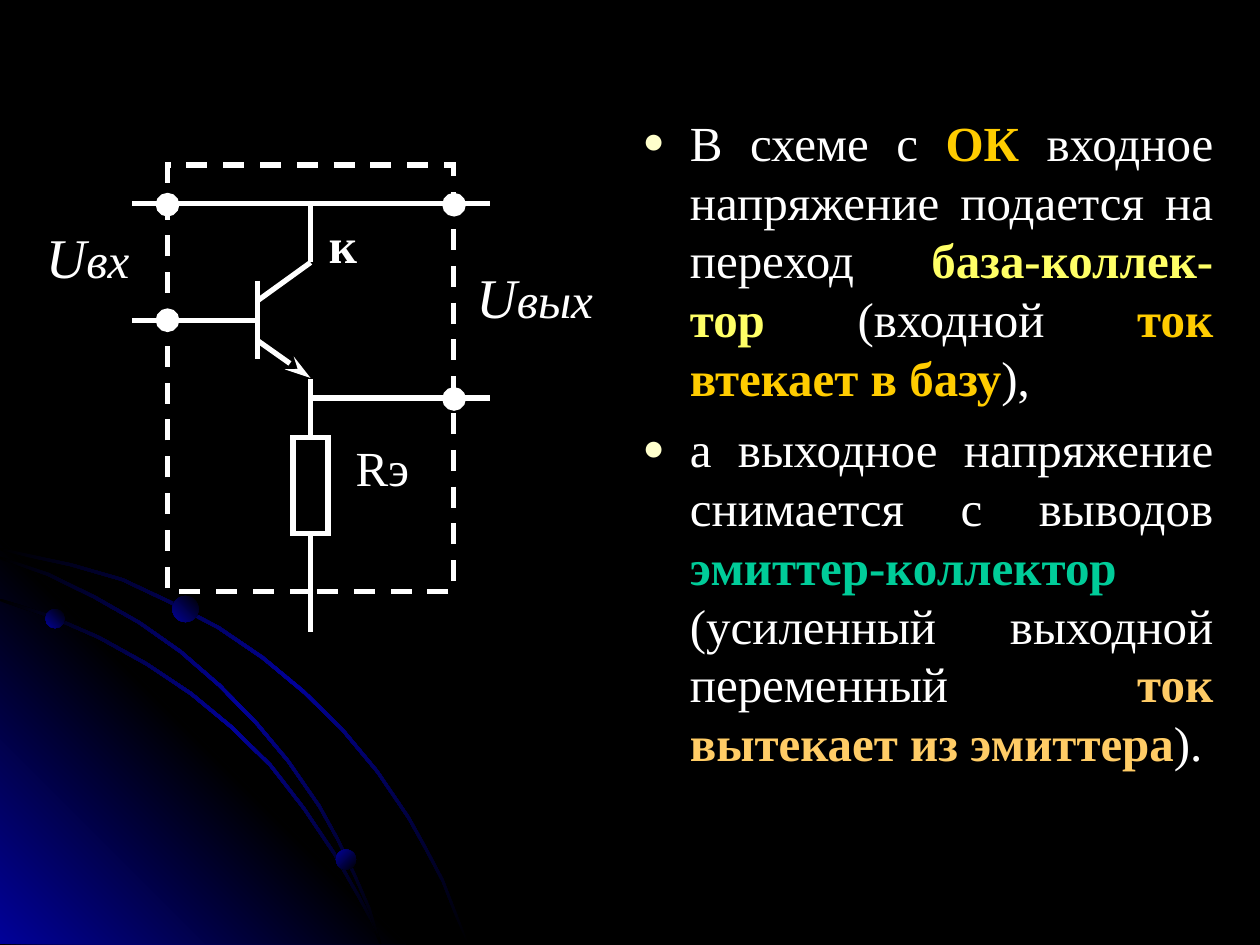
from lxml.etree import SubElement
from pptx import Presentation
from pptx.dml.color import RGBColor
from pptx.enum.dml import MSO_LINE
from pptx.enum.shapes import MSO_CONNECTOR, MSO_SHAPE
from pptx.enum.text import MSO_ANCHOR, MSO_AUTO_SIZE, PP_ALIGN
from pptx.oxml.ns import qn
from pptx.util import Pt

FONT = "Times New Roman"
WHITE, BLACK, BLUE = "FFFFFF", "000000", "010199"
GOLD, YELLOW, GREEN, ORANGE = "FFCC00", "FFFF66", "00CC99", "FFCC66"
LINE_WIDTH = 3
BOTTOM = 539.5

# Bullets: (text, colour); everything that is not white is bold
BULLETS = [
    [("В схеме с ", WHITE), ("ОК", GOLD),
     (" входное напряжение подается на переход ", WHITE),
     ("база-коллек-тор", YELLOW), (" (входной ", WHITE),
     ("ток втекает в базу", GOLD), ("), ", WHITE)],
    [("а выходное напряжение снимается с выводов ", WHITE),
     ("эмиттер-коллектор", GREEN),
     (" (усиленный выходной переменный ", WHITE),
     ("ток вытекает из эмиттера", ORANGE), (").", WHITE)],
]

# Labels: box, then runs of (text, font format)
ITALIC = {"italic": True}
LABELS = [
    ((198, 250, 41, 44.5), [("Rэ", {})]),
    ((14.5, 127, 71, 44.5), [("U", {"size": Pt(32), **ITALIC}), ("вх", ITALIC)]),
    ((259.5, 150, 92, 44.5), [("U", {"size": Pt(32), **ITALIC}), ("вых", ITALIC)]),
    ((178.5, 122.5, 35, 39.5), [("к", {"bold": True})]),
]

# Circuit
FRAME = (95.75, 94.25, 163.5, 244)
RESISTOR = (167.5, 250, 20, 55)
LEFT, RIGHT = 95.75, 259.5
WIRE_START, WIRE_END = 75.5, 280
BASE_X, LEAD_X = 147, 177.5
TOP_Y, INPUT_Y, OUTPUT_Y = 116.5, 183, 227.5
COLLECTOR_Y, EMITTER_Y = 150, 216.5
WIRES = [
    (WIRE_START, TOP_Y, WIRE_END, TOP_Y),
    (WIRE_START, INPUT_Y, BASE_X, INPUT_Y),
    (LEAD_X, OUTPUT_Y, WIRE_END, OUTPUT_Y),
    (LEAD_X, TOP_Y, LEAD_X, COLLECTOR_Y),
    (BASE_X, 160.5, BASE_X, 205),
    (BASE_X, 172, LEAD_X, COLLECTOR_Y),
]
EMITTER = (BASE_X, 194.5, LEAD_X, 216)
UPPER_LEAD = (LEAD_X, EMITTER_Y, LEAD_X, 250)
LOWER_LEAD = (LEAD_X, 305, LEAD_X, 361)
TERMINALS = [(LEFT, TOP_Y + 0.5), (LEFT, INPUT_Y),
             (RIGHT, TOP_Y + 0.5), (RIGHT, OUTPUT_Y + 0.5)]
TERMINAL_SIZE = 10.5

# Background: upper edges of the arcs, the glowing corner, and the beads
ARCS = [
    [(0, 313), (20, 317.5), (41, 322), (70.5, 330.5), (98, 343.5), (125.5, 358),
     (150.5, 375), (174, 394.5), (196, 416), (216, 440), (234, 466.5),
     (244, 484.5), (253.5, 502.5), (260.5, 520.5), (268, BOTTOM)],
    [(0, 342), (29.5, 351.5), (57, 363.5), (84, 378.5), (109.5, 395.5),
     (132.5, 414.5), (155, 436.5), (174, 461), (191.5, 487), (206, 512.5),
     (213, 525.5), (218, BOTTOM)],
    [(0, 318), (28, 327.5), (54.5, 340.5), (80, 355), (103.5, 371.5),
     (126, 391), (147, 412.5), (165, 434), (183, 460), (193.5, 479),
     (203, 499), (211.5, 518.5), (218, BOTTOM)],
]
CORNER = [(0, 307.5), (232, BOTTOM), (0, BOTTOM)]
BEADS = [((26, 348, 11, 11), 135), ((192, 485.5, 11.5, 11.5), 225),
         ((98.5, 340.5, 15, 15), 135)]


def color(hex_string):
    return RGBColor.from_string(hex_string)


def points(values):
    return [Pt(value) for value in values]


def fill_gradient(shape, colors, angle):
    """Fill with evenly spaced colours; the angle runs clockwise."""
    shape.shadow.inherit = False
    shape.line.fill.background()
    shape.fill.gradient()
    shape.fill.gradient_angle = 360 - angle
    stops = shape.element.spPr.find(".//" + qn("a:gsLst"))
    stops.clear()
    for index, hex_string in enumerate(colors):
        position = 100000 * index // (len(colors) - 1)
        stop = SubElement(stops, qn("a:gs"), pos=str(position))
        SubElement(stop, qn("a:srgbClr"), val=hex_string)


def add_polygon(shapes, outline, colors, angle):
    builder = shapes.build_freeform(*points(outline[0]))
    builder.add_line_segments([points(point) for point in outline[1:]], close=True)
    fill_gradient(builder.convert_to_shape(), colors, angle)


def add_outlined(shapes, kind, box, fill=None):
    shape = shapes.add_shape(kind, *points(box))
    shape.shadow.inherit = False
    if fill:
        shape.fill.solid()
        shape.fill.fore_color.rgb = color(fill)
    else:
        shape.fill.background()
    shape.line.color.rgb = color(WHITE)
    shape.line.width = Pt(LINE_WIDTH)
    SubElement(shape.line._get_or_add_ln(), qn("a:miter"), lim="800000")
    return shape


def add_wire(shapes, ends):
    wire = shapes.add_connector(MSO_CONNECTOR.STRAIGHT, *points(ends))
    wire.line.color.rgb = color(WHITE)
    wire.line.width = Pt(LINE_WIDTH)
    SubElement(wire.element.spPr, qn("a:effectLst"))
    return wire


def add_run(paragraph, text, hex_string, font_format):
    run = paragraph.add_run()
    run.text = text
    run.font.color.rgb = color(hex_string)
    for name, value in {"name": FONT, "size": Pt(28), **font_format}.items():
        setattr(run.font, name, value)


def add_bullet(paragraph):
    properties = paragraph._p.get_or_add_pPr()
    properties.set("marL", str(Pt(27)))
    properties.set("indent", str(-Pt(27)))
    bullet_color = SubElement(properties, qn("a:buClr"))
    SubElement(bullet_color, qn("a:srgbClr"), val="FFFFCC")
    SubElement(properties, qn("a:buSzPct"), val="75000")
    SubElement(properties, qn("a:buFont"), typeface=FONT)
    SubElement(properties, qn("a:buChar"), char="●")


def draw_background(slide):
    slide.background.fill.solid()
    slide.background.fill.fore_color.rgb = color(BLACK)
    add_polygon(slide.shapes, CORNER, [BLUE, BLACK, BLUE], 135)
    for edge in ARCS:
        lower_edge = [(max(0, x - 1), min(BOTTOM, y + 1.5)) for x, y in edge]
        add_polygon(slide.shapes, edge + lower_edge[::-1], [BLACK, BLUE, BLACK], 225)
    for box, angle in BEADS:
        bead = slide.shapes.add_shape(MSO_SHAPE.OVAL, *points(box))
        fill_gradient(bead, [BLACK, BLUE], angle)


def write_body(body):
    body.left, body.top, body.width, body.height = points((360, 60.5, 340.5, 422.5))
    frame = body.text_frame
    frame.auto_size = MSO_AUTO_SIZE.NONE
    frame.vertical_anchor = MSO_ANCHOR.TOP
    for index, runs in enumerate(BULLETS):
        paragraph = frame.add_paragraph() if index else frame.paragraphs[0]
        add_bullet(paragraph)
        paragraph.alignment = PP_ALIGN.JUSTIFY
        paragraph.space_before = Pt(7 if index else 0)
        for text, hex_string in runs:
            add_run(paragraph, text, hex_string, {"bold": hex_string != WHITE})


def draw_circuit(shapes):
    frame = add_outlined(shapes, MSO_SHAPE.RECTANGLE, FRAME)
    frame.line.dash_style = MSO_LINE.DASH
    resistor = add_outlined(shapes, MSO_SHAPE.RECTANGLE, RESISTOR)
    for ends in WIRES:
        add_wire(shapes, ends)
    emitter_line = add_wire(shapes, EMITTER).line._get_or_add_ln()
    SubElement(emitter_line, qn("a:tailEnd"), type="stealth", w="med", len="lg")
    add_wire(shapes, UPPER_LEAD).end_connect(resistor, 0)
    add_wire(shapes, LOWER_LEAD).begin_connect(resistor, 2)
    for x, y in TERMINALS:
        corner = (x - TERMINAL_SIZE / 2, y - TERMINAL_SIZE / 2)
        add_outlined(shapes, MSO_SHAPE.OVAL, (*corner, TERMINAL_SIZE, TERMINAL_SIZE), WHITE)


def write_labels(shapes):
    for box, runs in LABELS:
        frame = shapes.add_textbox(*points(box)).text_frame
        frame.word_wrap = True
        for side in ("left", "top", "right", "bottom"):
            setattr(frame, f"margin_{side}", 0)
        paragraph = frame.paragraphs[0]
        paragraph.alignment = PP_ALIGN.CENTER
        for text, font_format in runs:
            add_run(paragraph, text, WHITE, font_format)


def main():
    presentation = Presentation()
    presentation.slide_width, presentation.slide_height = Pt(720), Pt(540)
    slide = presentation.slides.add_slide(presentation.slide_layouts[1])
    title = slide.shapes.title.element
    title.getparent().remove(title)
    draw_background(slide)
    write_body(slide.placeholders[1])
    draw_circuit(slide.shapes)
    write_labels(slide.shapes)
    presentation.save("out.pptx")


if __name__ == "__main__":
    main()
